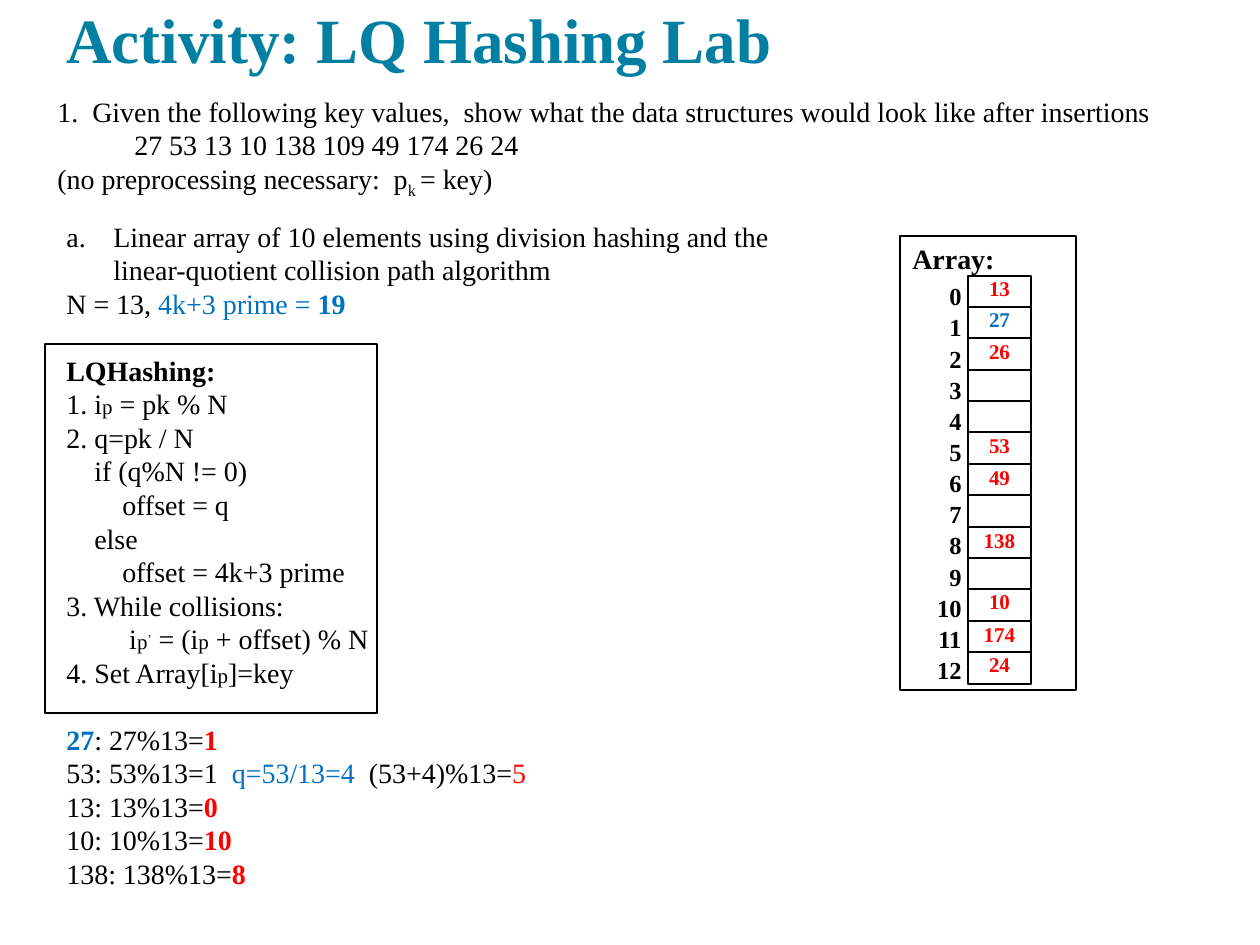
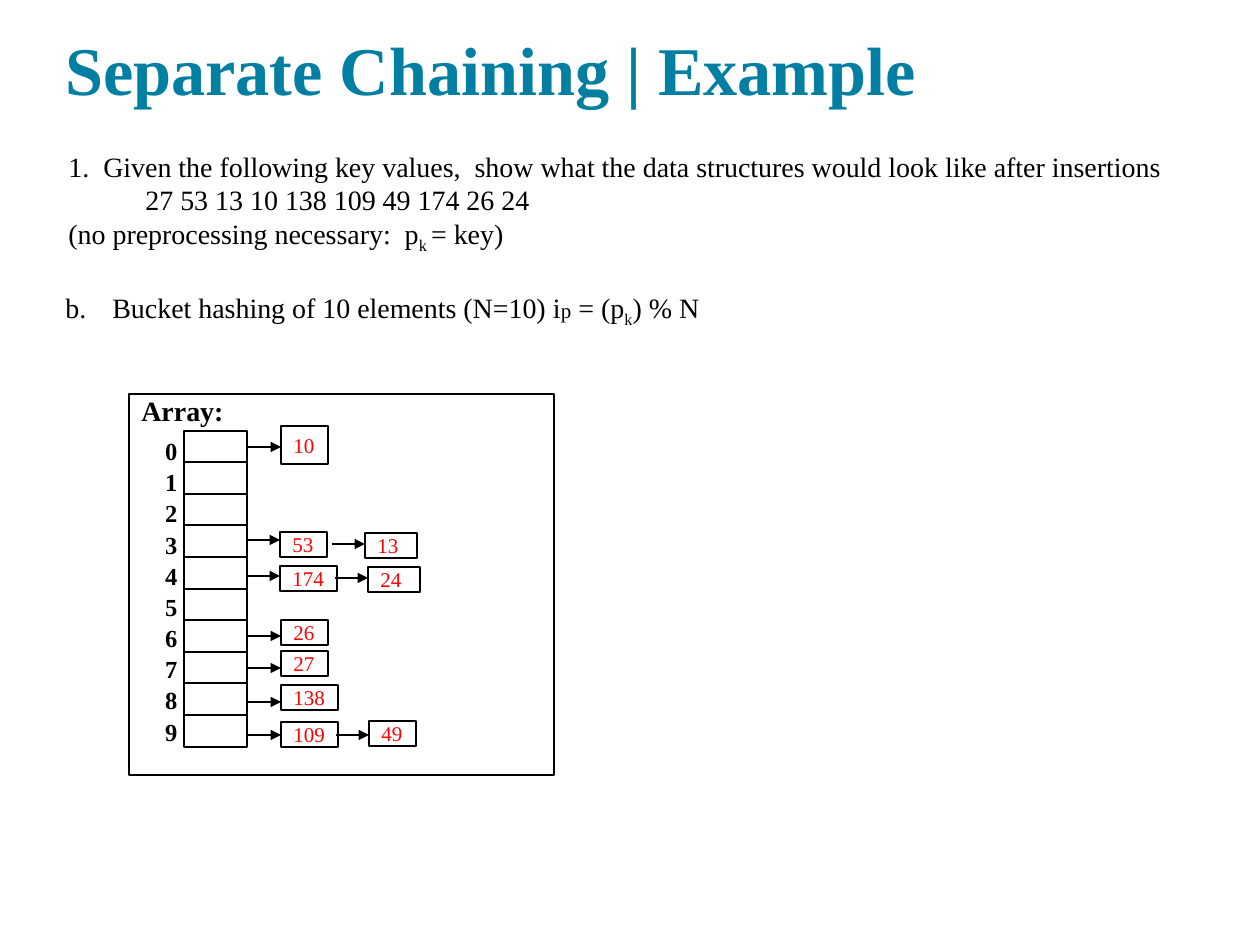
"""Build two slides on hashing: linear-quotient lab and separate chaining."""
from lxml.etree import SubElement
from pptx import Presentation
from pptx.dml.color import RGBColor as RGB
from pptx.enum.shapes import MSO_CONNECTOR as CONN, MSO_SHAPE as SHAPE
from pptx.enum.text import MSO_ANCHOR as ANCHOR, PP_ALIGN as ALIGN
from pptx.oxml.ns import qn
from pptx.util import Emu, Pt

FONT = "Times New Roman"
COLORS = {"title": "007FA3", "ink": "000000", "paper": "FFFFFF",
          "blue": "0070C0", "red": "FF0000"}
STYLES = {
    "blue": {"color": "blue"},
    "blue bold": {"color": "blue", "bold": True},
    "red": {"color": "red"},
    "red bold": {"color": "red", "bold": True},
    "bold": {"bold": True},
    "small": {"size": 12},
    "small super": {"size": 12, "baseline": 30},
    "sub": {"baseline": -25},
}
QUESTION = [
    "1.  Given the following key values,  show what the data structures "
    "would look like after insertions",
    "27 53 13 10 138 109 49 174 26 24",
    ["(no preprocessing necessary:  p", ("k ", "sub"), "= key)"],
]
LQ_SETUP = [
    "Linear array of 10 elements using division hashing and the "
    "linear-quotient collision path algorithm",
    ["N = 13, ", ("4k+3 prime = ", "blue"), ("19", "blue bold")],
]
LQ_CODE = [
    [("LQHashing:", "bold")],
    ["1. i", ("p", "small"), " = pk % N"],
    "2. q=pk / N",
    "    if (q%N != 0)",
    "        offset = q",
    "    else",
    "        offset = 4k+3 prime",
    "3. While collisions:",
    ["         i", ("p", "small"), ("’", "small super"), " = (i",
     ("p", "small"), " + offset) % N"],
    ["4. Set Array[i", ("p", "small"), "]=key"],
]
LQ_STEPS = [
    [("27", "blue bold"), ": 27%13=", ("1", "red bold")],
    ["53: 53%13=1  ", ("q=53/13=4", "blue"), "  (53+4)%13=", ("5", "red")],
    ["13: 13%13=", ("0", "red bold")],
    ["10: 10%13=", ("10", "red bold")],
    ["138: 138%13=", ("8", "red bold")],
]
BUCKET_TASK = [["Bucket hashing of 10 elements (N=10) i", ("p", "small"),
                " = (p", ("k", "sub"), ") % N"]]
LQ_ARRAY = ["13", "27", "26", "", "", "53", "49", "", "138", "", "10", "174", "24"]
CHAIN_NODES = [
    ("10", 152, 32, 47, 38, 53),
    ("53", 151, 138, 47, 25, 146),
    ("13", 236, 139, 52, 25, 150),
    ("174", 151, 172, 57, 25, 182),
    ("24", 239, 173, 52, 25, 184),
    ("26", 152, 226, 47, 25, 242),
    ("27", 152, 257, 47, 25, 274),
    ("138", 152, 291, 57, 25, 308),
    ("109", 152, 328, 57, 25, 341),
    ("49", 240, 327, 47, 25, 341),
]
ARROW_LENGTH = 33


def px(n):
    """Turn px into EMU."""
    return Emu(round(n * 914400 / 126))


def rgb(name):
    """Look up a colour by name."""
    return RGB.from_string(COLORS[name])


def style_run(r, size, color="ink", bold=False, baseline=0):
    """Set the font of one run."""
    f = r.font
    f.name, f.size, f.bold = FONT, Pt(size), bold
    f.color.rgb = rgb(color)
    if baseline:
        r._r.get_or_add_rPr().set("baseline", str(baseline * 1000))


def write(tf, lines, size, align=ALIGN.LEFT, after=0, **base):
    """Fill a text frame with lines made of plain or styled runs."""
    for i, line in enumerate(lines):
        p = tf.paragraphs[0] if i == 0 else tf.add_paragraph()
        p.alignment = align
        if after:
            p.space_after = Pt(after)
        for part in [line] if isinstance(line, str) else line:
            text, style = (part, None) if isinstance(part, str) else part
            r = p.add_run()
            r.text = text
            style_run(r, **{"size": size, **base, **STYLES.get(style, {})})


def text_box(s, box, lines, size, wrap=True, **fmt):
    """Add a text box and return its frame."""
    tf = s.shapes.add_textbox(*map(px, box)).text_frame
    tf.word_wrap = wrap
    write(tf, lines, size, **fmt)
    return tf


def rect(s, box, fill="paper"):
    """Add a thin outlined rectangle and return its frame, anchored at the top."""
    sp = s.shapes.add_shape(SHAPE.RECTANGLE, *map(px, box))
    sp.shadow.inherit = False
    if fill:
        sp.fill.solid()
        sp.fill.fore_color.rgb = rgb(fill)
    else:
        sp.fill.background()
    sp.line.color.rgb = rgb("ink")
    sp.line.width = Pt(0.75)
    tf = sp.text_frame
    tf.vertical_anchor = ANCHOR.TOP
    return tf


def arrow(s, x, y, length):
    """Draw a horizontal arrow to the right."""
    c = s.shapes.add_connector(CONN.STRAIGHT, px(x), px(y), px(x + length), px(y))
    c.line.color.rgb = rgb("ink")
    c.line.width = Pt(0.75)
    SubElement(c.line._get_or_add_ln(), qn("a:tailEnd"), type="triangle")
    SubElement(c._element.spPr, qn("a:effectLst"))


def number(p, start):
    """Give a paragraph a lettered bullet with a hanging indent."""
    pPr = p._p.get_or_add_pPr()
    pPr.set("marL", str(px(47)))
    pPr.set("indent", str(-px(47)))
    SubElement(pPr, qn("a:buFont"), typeface="+mj-lt")
    SubElement(pPr, qn("a:buAutoNum"), type="alphaLcPeriod", startAt=str(start))


def title(s, box, text, size):
    """Add the slide title."""
    text_box(s, box, [text], size, color="title", bold=True)


def question(s, x, y):
    """Add the shared question with its indented key values."""
    tf = text_box(s, (x, y, 1150, 115), QUESTION, 16)
    tf.paragraphs[1]._p.get_or_add_pPr().set("marL", str(px(77)))


def array_panel(s, box, cell_at, cells_height, values, inset):
    """Draw a framed array with its heading, cells and index column."""
    x, y = box[:2]
    tf = rect(s, box)
    tf.margin_top = px(inset)
    write(tf, ["Array:"], 16, bold=True)
    cx, cy = x + cell_at[0], y + cell_at[1]
    for i, value in enumerate(values):
        tf = rect(s, (cx, cy + cells_height * i // len(values), 63, 32))
        tf.margin_left = tf.margin_right = tf.margin_top = tf.margin_bottom = 0
        if value:
            color = "blue" if value == "27" else "red"
            write(tf, [value], 12, align=ALIGN.CENTER, color=color, bold=True)
    text_box(s, (cx - 44, cy - 1, 50, cells_height + 12),
             [str(i) for i in range(len(values))], 14, wrap=False,
             align=ALIGN.RIGHT, after=1, bold=True)


def chains(s, x, y):
    """Draw the linked nodes, each reached by an arrow."""
    for value, left, top, w, h, arrow_y in CHAIN_NODES:
        arrow(s, x + left - ARROW_LENGTH, y + arrow_y, ARROW_LENGTH)
        tf = rect(s, (x + left, y + top, w, h))
        tf.margin_top = tf.margin_bottom = 0
        tf.vertical_anchor = ANCHOR.MIDDLE
        tf.word_wrap = False
        write(tf, [value], 12, color="red")


def lq_slide(s):
    """Build the linear-quotient hashing slide."""
    question(s, 45, 88)
    title(s, (54, -6, 1037, 90), "Activity: LQ Hashing Lab", 36)
    tf = text_box(s, (54, 213, 737, 692), LQ_SETUP + LQ_CODE + LQ_STEPS, 16)
    number(tf.paragraphs[0], 1)
    for i in (len(LQ_SETUP), len(LQ_SETUP + LQ_CODE)):
        tf.paragraphs[i].space_before = Pt(19)
    rect(s, (45, 344, 332, 369), fill=None)
    array_panel(s, (900, 236, 176, 454), (68, 40), 408, LQ_ARRAY, 6)


def chaining_slide(s):
    """Build the separate chaining slide."""
    question(s, 56, 143)
    tf = text_box(s, (53, 284, 835, 81), BUCKET_TASK, 16)
    number(tf.paragraphs[0], 2)
    array_panel(s, (129, 394, 425, 381), (55, 37), 316, [""] * 10, 0)
    chains(s, 129, 394)
    title(s, (53, 21, 1155, 112), "Separate Chaining | Example", 39)


def main():
    """Build and save the presentation."""
    prs = Presentation()
    prs.slide_width, prs.slide_height = px(1260), px(945)
    for build in (lq_slide, chaining_slide):
        build(prs.slides.add_slide(prs.slide_layouts[6]))
    prs.save("out.pptx")


if __name__ == "__main__":
    main()
